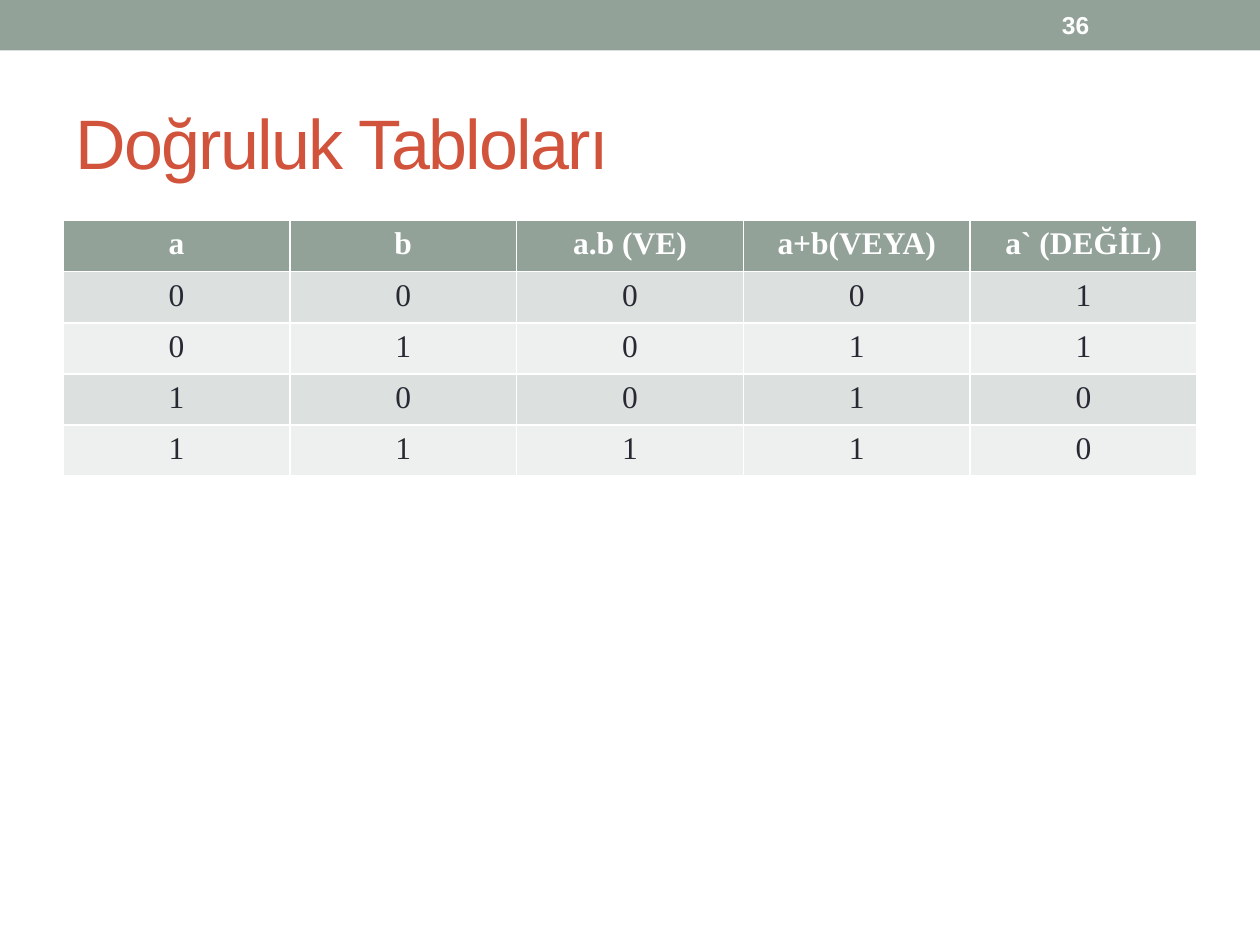
import pptx
import pptx.util
import pptx.dml.color
import pptx.enum.shapes
import pptx.enum.text

Inches, Pt = pptx.util.Inches, pptx.util.Pt
RGBColor = pptx.dml.color.RGBColor
PP_ALIGN, MSO_ANCHOR = pptx.enum.text.PP_ALIGN, pptx.enum.text.MSO_ANCHOR

SAGE = RGBColor(0x93, 0xA2, 0x99)
RED = RGBColor(0xD2, 0x53, 0x3C)
INK = RGBColor(0x29, 0x29, 0x34)
WHITE = RGBColor(0xFF, 0xFF, 0xFF)
BANDS = [RGBColor(0xEE, 0xF0, 0xEF), RGBColor(0xDC, 0xE0, 0xDE)]

TRUTH_TABLE = [
    ["a", "b", "a.b (VE)", "a+b(VEYA)", "a` (DEĞİL)"],
    ["0", "0", "0", "0", "1"],
    ["0", "1", "0", "1", "1"],
    ["1", "0", "0", "1", "0"],
    ["1", "1", "1", "1", "0"],
]


def style(p, name, size, color, bold, align):
    p.alignment = align
    p.font.name, p.font.size, p.font.bold = name, Pt(size), bold
    p.font.color.rgb = color


prs = pptx.Presentation()
prs.slide_width, prs.slide_height = Inches(10), Inches(7.5)
s = prs.slides.add_slide(prs.slide_layouts[5])

# Top band
band = s.shapes.add_shape(pptx.enum.shapes.MSO_SHAPE.RECTANGLE,
                          0, 0, Inches(10), Inches(0.4))
band.shadow.inherit = False
band.fill.solid()
band.fill.fore_color.rgb = SAGE
band.line.fill.background()

# Title
title = s.shapes.title
title.left, title.top = Inches(0.5), Inches(0.58)
title.width, title.height = Inches(9), Inches(1.08)
tf = title.text_frame
tf.text = "Doğruluk Tabloları"
tf.auto_size = pptx.enum.text.MSO_AUTO_SIZE.NONE
tf.vertical_anchor = MSO_ANCHOR.MIDDLE
p = tf.paragraphs[0]
style(p, "Arial", 40, RED, False, PP_ALIGN.LEFT)
p.runs[0].font._element.set("spc", "-100")

# Truth table; the default table style supplies the white cell borders
table = s.shapes.add_table(len(TRUTH_TABLE), len(TRUTH_TABLE[0]), Inches(0.5),
                           Inches(1.75), Inches(9), Inches(2.03)).table
for r, row in enumerate(TRUTH_TABLE):
    header = r == 0
    for c, text in enumerate(row):
        cell = table.cell(r, c)
        cell.text = text
        cell.fill.solid()
        cell.fill.fore_color.rgb = SAGE if header else BANDS[r % 2]
        style(cell.text_frame.paragraphs[0], "Times New Roman", 18,
              WHITE if header else INK, header, PP_ALIGN.CENTER)

# Slide number
number = s.shapes.add_textbox(Inches(8.33), Inches(0.02), Inches(1.17), Inches(0.36))
tf = number.text_frame
tf.word_wrap = True
tf.vertical_anchor = MSO_ANCHOR.MIDDLE
tf.text = "36"
style(tf.paragraphs[0], "Arial", 14, WHITE, True, PP_ALIGN.LEFT)

prs.save("out.pptx")
